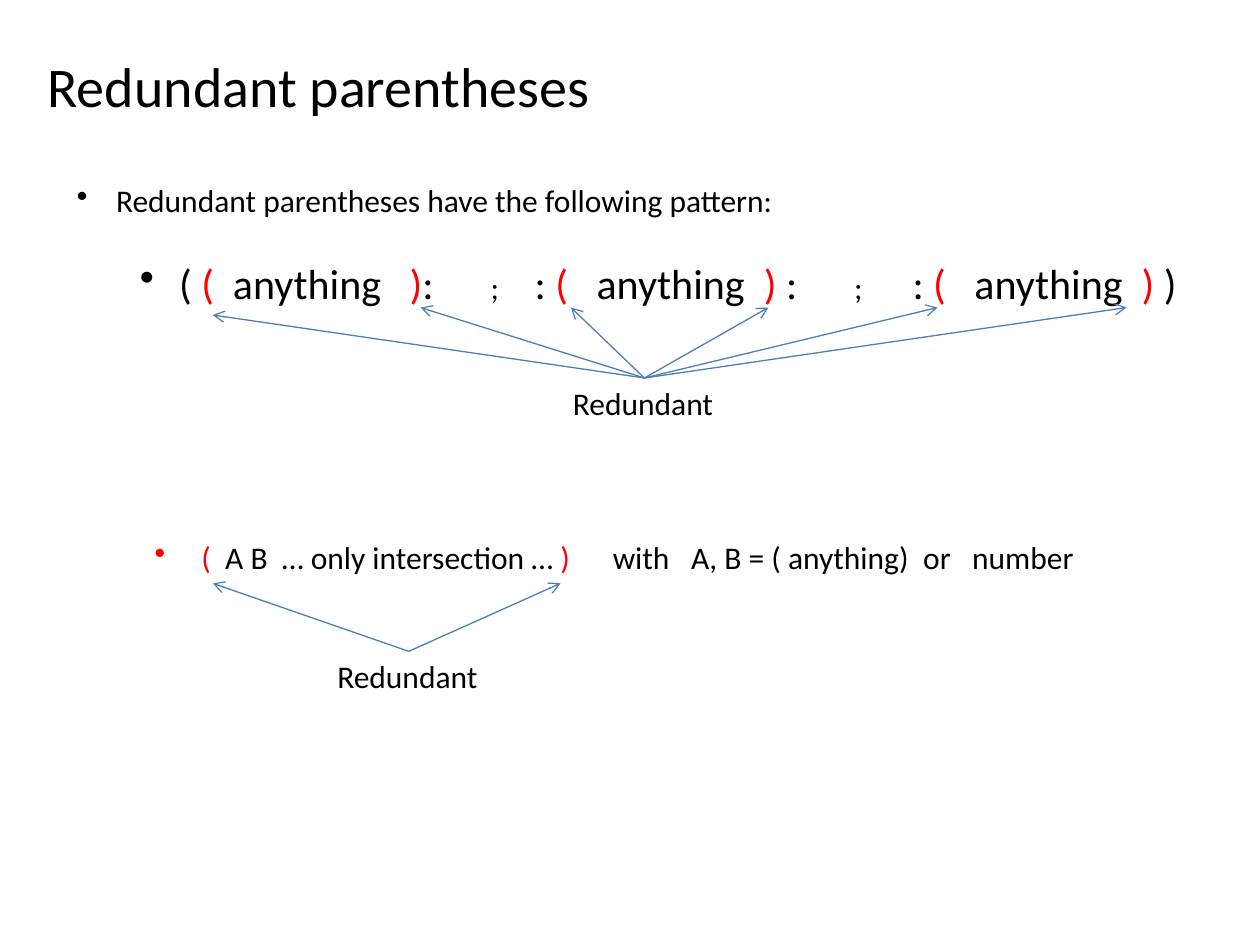
from lxml import etree
from pptx import Presentation, util as u
from pptx.dml.color import RGBColor
from pptx.enum import shapes, text
from pptx.oxml.ns import qn

BLACK, RED, BLUE = "000000", "FF0000", "4B7EBC"
SPACE_EM = 0.226


def paint(target, colour):
    """Give a font or a line a solid colour."""
    target.fill.solid()
    target.fill.fore_color.rgb = RGBColor.from_string(colour)


def text_frame(slide, left, top, width, height):
    """Add a wrapping text box and return its frame."""
    frame = slide.shapes.add_textbox(u.Cm(left), u.Cm(top), u.Cm(width), u.Cm(height)).text_frame
    frame.word_wrap = True
    return frame


def style(paragraph, size):
    """Set the common font of a paragraph."""
    paragraph.font.name = "Calibri"
    paragraph.font.size = u.Pt(size)
    paint(paragraph.font, BLACK)


def bullet(paragraph, margin, hang):
    """Give a paragraph a hanging bullet."""
    properties = paragraph._p.get_or_add_pPr()
    properties.set("marL", str(u.Cm(margin)))
    properties.set("indent", str(-u.Cm(hang)))
    mark = etree.Element(qn("a:buChar"), char="\u2022")
    defaults = properties.find(qn("a:defRPr"))
    if defaults is None:
        properties.append(mark)
    else:
        defaults.addprevious(mark)


def write_pattern(paragraph, parts, size):
    """Write (words, colour, size, gap) parts, each gap counted in space widths."""
    for words, colour, part_size, gap in parts:
        run = paragraph.add_run()
        run.text = words
        if colour != BLACK:
            paint(run.font, colour)
        if part_size != size:
            run.font.size = u.Pt(part_size)
        if gap:
            spacer = paragraph.add_run()
            spacer.text = " "
            spacer.font.size = u.Pt(part_size)
            extra = (gap - 1) * SPACE_EM * part_size
            spacer._r.get_or_add_rPr().set("spc", str(round(extra * 100)))


def title(slide, left, top, width, height):
    """Place the slide heading."""
    frame = text_frame(slide, left, top, width, height)
    frame.vertical_anchor = text.MSO_ANCHOR.MIDDLE
    heading = frame.paragraphs[0]
    heading.text = "Redundant parentheses"
    style(heading, 32)


def union_pattern(slide, left, top, width, height):
    """Place the introduction and the pattern with three bracketed terms."""
    frame = text_frame(slide, left, top, width, height)
    intro = frame.paragraphs[0]
    intro.text = "Redundant parentheses have the following pattern:"
    style(intro, 18)
    bullet(intro, 0.79, 0.79)

    def term(before, after):
        return [("(", RED, 24, before), ("anything", BLACK, 24, after), (")", RED, 24, 0)]

    def separator(colon, gap):
        return [(colon, BLACK, 24, 6), (";", BLACK, 18, gap), (": ", BLACK, 24, 0)]

    pattern = frame.add_paragraph()
    pattern.level = 1
    pattern.space_before = u.Pt(22)
    style(pattern, 24)
    bullet(pattern, 2.06, 0.79)
    parts = [("( ", BLACK, 24, 0), *term(2, 3), *separator(":", 5),
             *term(3, 2), *separator(" :", 7), *term(3, 2), (" )", BLACK, 24, 0)]
    write_pattern(pattern, parts, 24)


def intersection_pattern(slide, left, top, width, height):
    """Place the pattern made of intersections only."""
    pattern = text_frame(slide, left, top, width, height).paragraphs[0]
    style(pattern, 18)
    bullet(pattern, 0.94, 0.94)
    parts = [("(", RED, 2), ("A B", BLACK, 2), ("\u2026 only intersection \u2026 ", BLACK, 0),
             (")", RED, 6), ("with", BLACK, 3), ("A, B = ( anything)", BLACK, 2),
             ("or", BLACK, 3), ("number", BLACK, 0)]
    write_pattern(pattern, [(words, colour, 18, gap) for words, colour, gap in parts], 18)


def arrow(slide, start, end):
    """Draw a thin line with an open head at its end."""
    line = slide.shapes.add_connector(
        shapes.MSO_CONNECTOR.STRAIGHT, *(u.Cm(value) for value in (*start, *end)))
    paint(line.line, BLUE)
    line.line.width = u.Pt(0.75)
    etree.SubElement(line.line._get_or_add_ln(), qn("a:tailEnd"), type="arrow")
    etree.SubElement(line._element.spPr, qn("a:effectLst"))


def redundant_label(slide, left, top, width, height, tips):
    """Place a label whose top centre sends an arrow to every tip."""
    label = text_frame(slide, left, top, width, height).paragraphs[0]
    label.text = "Redundant"
    style(label, 18)
    for tip in tips:
        arrow(slide, (left + width / 2, top), tip)


def main():
    """Build and save the slide."""
    deck = Presentation()
    deck.slide_width, deck.slide_height = u.Cm(25.4), u.Cm(19.05)
    slide = deck.slides.add_slide(deck.slide_layouts[6])
    title(slide, 0.71, 0.53, 21.59, 2.39)
    union_pattern(slide, 1.3, 3.53, 22.81, 2.82)
    union_tips = [(4.29, 6.35)] + [(x, 6.2) for x in (8.48, 11.51, 15.49, 18.9, 22.71)]
    redundant_label(slide, 11.3, 7.62, 3.38, 1.02, union_tips)
    intersection_pattern(slide, 2.87, 10.72, 19.43, 1.02)
    redundant_label(slide, 6.55, 13.13, 3.38, 1.02, [(x, 11.76) for x in (4.29, 11.3)])
    deck.save("out.pptx")


main()
